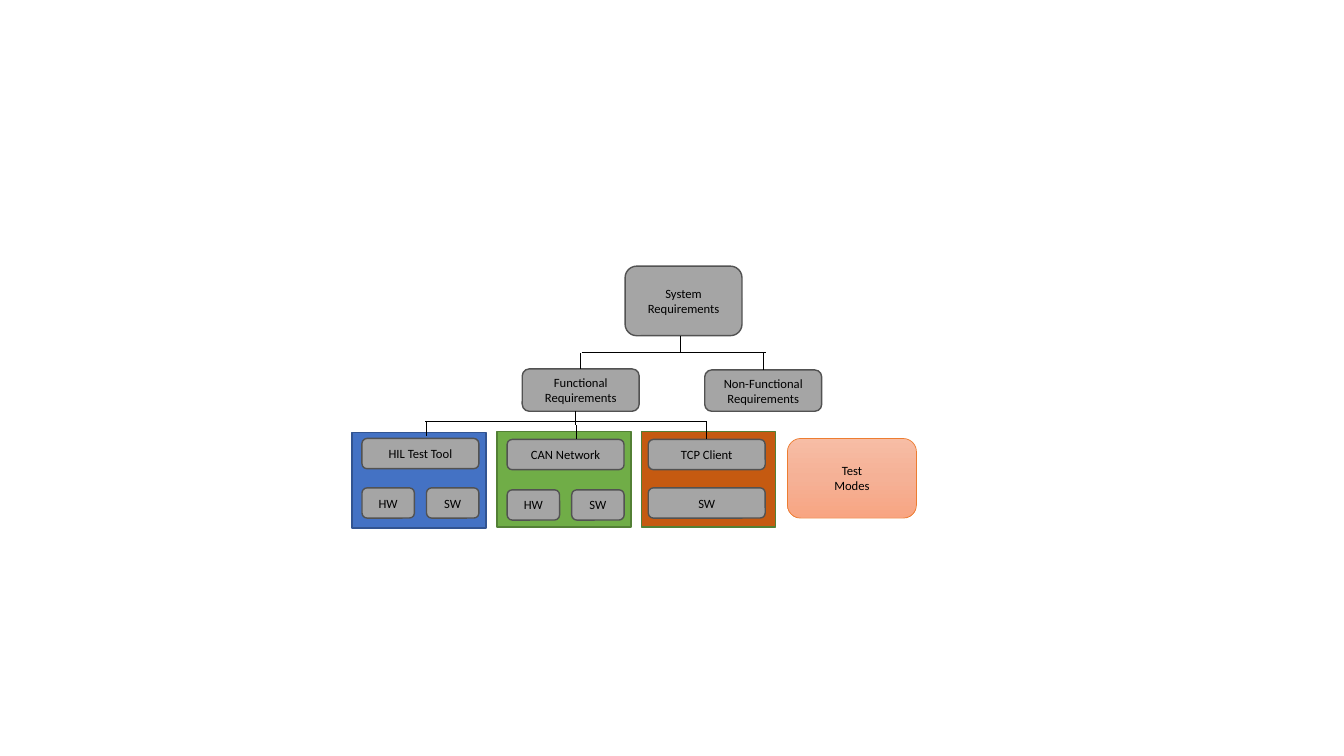
"""Build a slide with a system requirements breakdown tree."""
import copy
from dataclasses import dataclass
from typing import Optional

import lxml.etree
import pptx
import pptx.dml.color
import pptx.enum.shapes
import pptx.enum.text
import pptx.oxml.ns
import pptx.util

COLORS = {
    "client": "C55A11", "network": "70AD47", "tool": "4472C4",
    "green_edge": "538035", "blue_edge": "325491",
    "node": "A5A5A5", "node_edge": "525252", "ink": "000000",
    "modes_top": "F7BDA5", "modes_middle": "F5B196",
    "modes_bottom": "F8A582", "modes_edge": "ED7D31",
}
WIDE, NARROW, LOW = 1.16, 0.52, 0.3
SECOND_COLUMN = 0.64


@dataclass
class Panel:
    left: float
    top: float
    fill: str
    edge: str


@dataclass
class Node:
    text: str
    left: float
    top: float
    width: float = WIDE
    height: float = LOW


@dataclass
class Link:
    start: tuple[float, float]
    end: tuple[float, float]
    target: Optional[str] = None


PANELS = [
    Panel(6.36, 4.28, "client", "green_edge"),
    Panel(4.93, 4.28, "network", "green_edge"),
    Panel(3.49, 4.29, "tool", "blue_edge"),
]
NODES = [
    Node("System Requirements", 6.2, 2.64, height=0.69),
    Node("Functional Requirements", 5.18, 3.66, height=0.42),
    Node("Non-Functional Requirements", 6.99, 3.67, height=0.41),
    Node("HIL Test Tool", 3.59, 4.35),
    Node("CAN Network", 5.03, 4.36),
    Node("TCP Client", 6.43, 4.36),
    Node("SW", 6.43, 4.84),
]
for left, top in ((3.59, 4.84), (5.03, 4.86)):
    NODES += [Node("HW", left, top, NARROW),
              Node("SW", left + SECOND_COLUMN, top, NARROW)]
MODES = Node("Test\nModes", 7.81, 4.35, 1.28, 0.79)
LINKS = [
    Link((5.77, 3.5), (7.6, 3.5)),
    Link((6.75, 3.33), (6.75, 3.5)),
    Link((5.76, 3.5), (5.76, 3.66), "Functional Requirements"),
    Link((7.57, 3.5), (7.57, 3.67), "Non-Functional Requirements"),
    Link((4.22, 4.18), (7.01, 4.18)),
    Link((5.71, 4.08), (5.71, 4.22)),
    Link((4.23, 4.19), (4.23, 4.33)),
    Link((5.72, 4.22), (5.72, 4.36)),
    Link((7.01, 4.19), (7.01, 4.36), "TCP Client"),
]


def color(name: str) -> pptx.dml.color.RGBColor:
    return pptx.dml.color.RGBColor.from_string(COLORS[name])


def write_text(shape, text: str, *, size: float = 9, font: str = "Calibri",
               ink: str = "ink") -> None:
    frame = shape.text_frame
    frame.word_wrap = True
    frame.vertical_anchor = pptx.enum.text.MSO_ANCHOR.MIDDLE
    frame.text = text
    for paragraph in frame.paragraphs:
        paragraph.alignment = pptx.enum.text.PP_ALIGN.CENTER
        for run in paragraph.runs:
            run.font.name = font
            run.font.size = pptx.util.Pt(size)
            run.font.color.rgb = color(ink)


def add_box(slide, kind, left: float, top: float, width: float, height: float,
            fill: str, edge: str, weight: float = 1):
    shape = slide.shapes.add_shape(
        kind, *map(pptx.util.Inches, (left, top, width, height)))
    shape.shadow.inherit = False
    shape.fill.solid()
    shape.fill.fore_color.rgb = color(fill)
    shape.line.color.rgb = color(edge)
    shape.line.width = pptx.util.Pt(weight)
    return shape


def add_node(slide, node: Node, fill: str = "node", edge: str = "node_edge",
             weight: float = 1):
    shape = add_box(slide, pptx.enum.shapes.MSO_SHAPE.ROUNDED_RECTANGLE,
                    node.left, node.top, node.width, node.height,
                    fill, edge, weight)
    write_text(shape, node.text)
    return shape


def add_link(slide, link: Link, shapes: dict) -> None:
    connector = slide.shapes.add_connector(
        pptx.enum.shapes.MSO_CONNECTOR.STRAIGHT,
        *map(pptx.util.Inches, link.start + link.end))
    if link.target:
        connector.end_connect(shapes[link.target], 0)
    connector.line.color.rgb = color("ink")
    connector.line.width = pptx.util.Pt(1)
    lxml.etree.SubElement(connector.element.spPr,
                          pptx.oxml.ns.qn("a:effectLst"))


def apply_gradient(shape, names: tuple[str, str, str]) -> None:
    shape.fill.gradient()
    shape.fill.gradient_angle = 270
    stop_list = next(shape.element.spPr.iter(pptx.oxml.ns.qn("a:gsLst")))
    stop_list.insert(1, copy.deepcopy(stop_list[0]))
    for index, (stop, name) in enumerate(zip(shape.fill.gradient_stops, names)):
        stop.position = index / 2
        stop.color.rgb = color(name)


def main() -> None:
    presentation = pptx.Presentation()
    presentation.slide_width = pptx.util.Inches(13.33)
    presentation.slide_height = pptx.util.Inches(7.5)
    slide = presentation.slides.add_slide(presentation.slide_layouts[6])
    for panel in PANELS:
        add_box(slide, pptx.enum.shapes.MSO_SHAPE.RECTANGLE, panel.left,
                panel.top, 1.33, 0.95, panel.fill, panel.edge)
    shapes = {node.text: add_node(slide, node) for node in NODES}
    for link in LINKS:
        add_link(slide, link, shapes)
    modes = add_node(slide, MODES, "modes_middle", "modes_edge", 0.5)
    apply_gradient(modes, ("modes_top", "modes_middle", "modes_bottom"))
    presentation.save("out.pptx")


if __name__ == "__main__":
    main()
